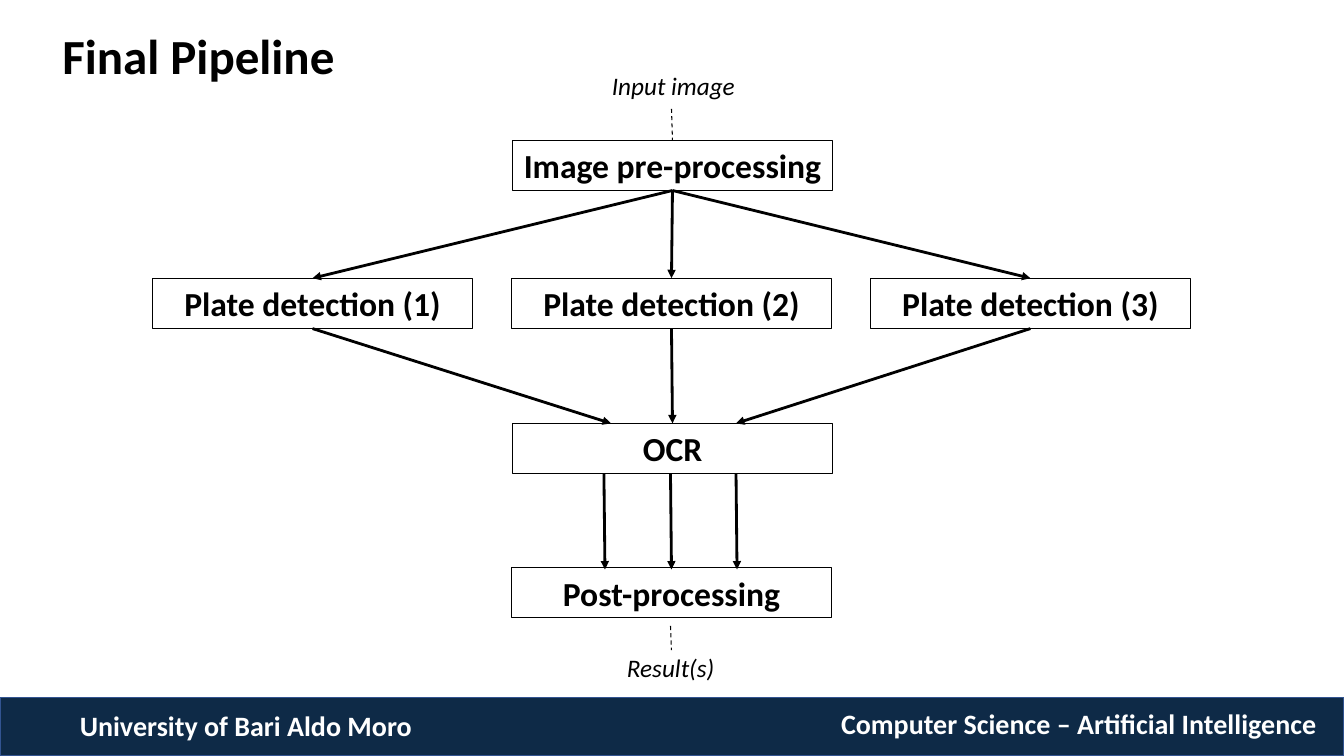
from lxml.etree import SubElement
from pptx import Presentation
from pptx.dml.color import RGBColor
from pptx.enum.dml import MSO_LINE
from pptx.enum.shapes import MSO_CONNECTOR, MSO_SHAPE
from pptx.enum.text import MSO_ANCHOR as ANCHOR, PP_ALIGN as ALIGN
from pptx.oxml.ns import qn
from pptx.util import Inches, Pt

COLORS = {"ink": "000000", "paper": "FFFFFF", "navy": "0E2A47", "edge": "325491"}
BOX_W, BOX_H = 3.18, 0.5


class Deck:
    font = "Calibri"

    def __init__(self, prs):
        self.slide = prs.slides.add_slide(prs.slide_layouts[6])

    def color(self, name):
        return RGBColor.from_string(COLORS[name])

    def label(self, sp, text, size, color="ink", bold=False, italic=False,
              align=ALIGN.LEFT, anchor=ANCHOR.TOP, spacing=1.0, inset=None):
        tf = sp.text_frame
        tf.word_wrap = True
        tf.vertical_anchor = anchor
        if inset is not None:
            tf.margin_left = tf.margin_right = Inches(inset)
            tf.margin_top = tf.margin_bottom = Inches(inset)
        p = tf.paragraphs[0]
        p.alignment = align
        p.line_spacing = spacing
        r = p.add_run()
        r.text = text
        r.font.name = self.font
        r.font.size = Pt(size)
        r.font.bold = bold
        r.font.italic = italic
        r.font.color.rgb = self.color(color)

    def text(self, x, y, w, h, text, size, **style):
        sp = self.slide.shapes.add_textbox(Inches(x), Inches(y), Inches(w), Inches(h))
        self.label(sp, text, size, **style)

    def rect(self, x, y, w, h, line, width, fill=None):
        sp = self.slide.shapes.add_shape(
            MSO_SHAPE.RECTANGLE, Inches(x), Inches(y), Inches(w), Inches(h))
        sp.shadow.inherit = False
        if fill:
            sp.fill.solid()
            sp.fill.fore_color.rgb = self.color(fill)
        else:
            sp.fill.background()
        sp.line.color.rgb = self.color(line)
        sp.line.width = Pt(width)
        return sp

    def step(self, x, y, text):
        sp = self.rect(x, y, BOX_W, BOX_H, "ink", 0.75)
        self.label(sp, text, 24, bold=True, align=ALIGN.CENTER, inset=0.05)

    def line(self, start, end, width):
        cx = self.slide.shapes.add_connector(
            MSO_CONNECTOR.STRAIGHT, *(Inches(v) for v in (*start, *end)))
        cx.line.color.rgb = self.color("ink")
        cx.line.width = Pt(width)
        SubElement(cx._element.spPr, qn("a:effectLst"))
        return cx

    def arrow(self, start, end):
        cx = self.line(start, end, 2)
        SubElement(cx._element.spPr.find(qn("a:ln")), qn("a:tailEnd"), type="triangle")

    def dashed(self, start, end):
        self.line(start, end, 0.75).line.dash_style = MSO_LINE.DASH


def main():
    prs = Presentation()
    prs.slide_width, prs.slide_height = Inches(13.33), Inches(7.5)
    s = Deck(prs)

    s.text(0.52, 0.2, 10.39, 0.69, "Final Pipeline", 35, bold=True)
    s.rect(0, 6.92, 13.33, 0.58, "edge", 1, fill="navy")
    for x, y, w, footer in [(8.1, 6.64, 5.2, "Computer Science – Artificial Intelligence"),
                            (0.36, 6.66, 4.16, "University of Bari Aldo Moro")]:
        s.text(x, y, w, 0.84, footer, 20, color="paper", bold=True,
               align=ALIGN.CENTER, anchor=ANCHOR.BOTTOM, spacing=0.9, inset=0.13)

    pre_y, detect_y, ocr_y, post_y = 1.39, 2.76, 4.2, 5.63
    s.step(5.08, pre_y, "Image pre-processing")
    for i in range(3):
        s.step(1.51 + 3.56 * i, detect_y, f"Plate detection ({i + 1})")
    s.step(5.08, ocr_y, "OCR")
    s.step(5.07, post_y, "Post-processing")

    for detect_x, ocr_x, out_x in [(3.1, 6.06, 6.0), (6.66, 6.67, 6.66), (10.22, 7.3, 7.31)]:
        s.arrow((6.67, pre_y + BOX_H), (detect_x, detect_y))
        s.arrow((detect_x, detect_y + BOX_H), (ocr_x, ocr_y))
        s.arrow((out_x - 0.01, ocr_y + BOX_H), (out_x, post_y + 0.02))

    s.text(5.97, 0.65, 4.25, 0.4, "Input image", 18, italic=True)
    s.text(6.12, 6.42, 4.25, 0.4, "Result(s)", 18, italic=True)
    s.dashed((6.66, 1.08), (6.67, pre_y))
    s.dashed((6.65, 6.21), (6.66, 6.45))

    prs.save("out.pptx")


if __name__ == "__main__":
    main()
